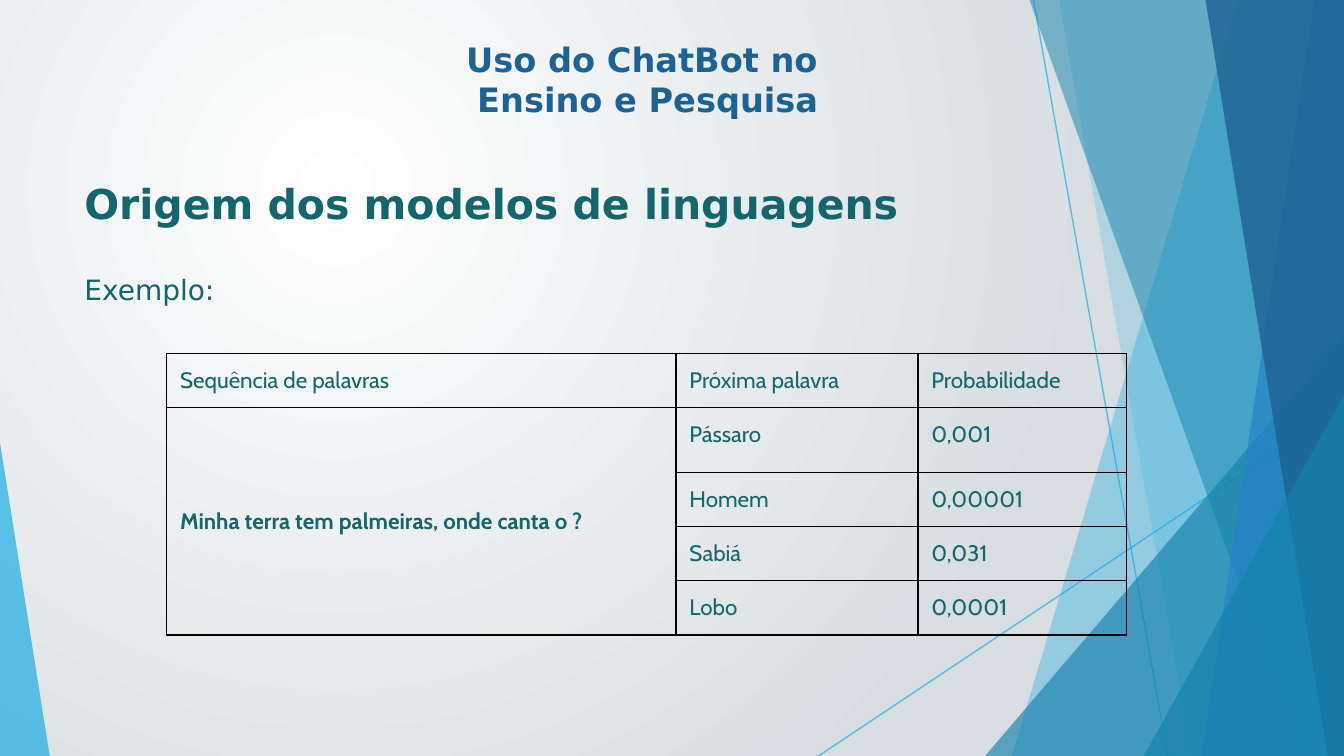
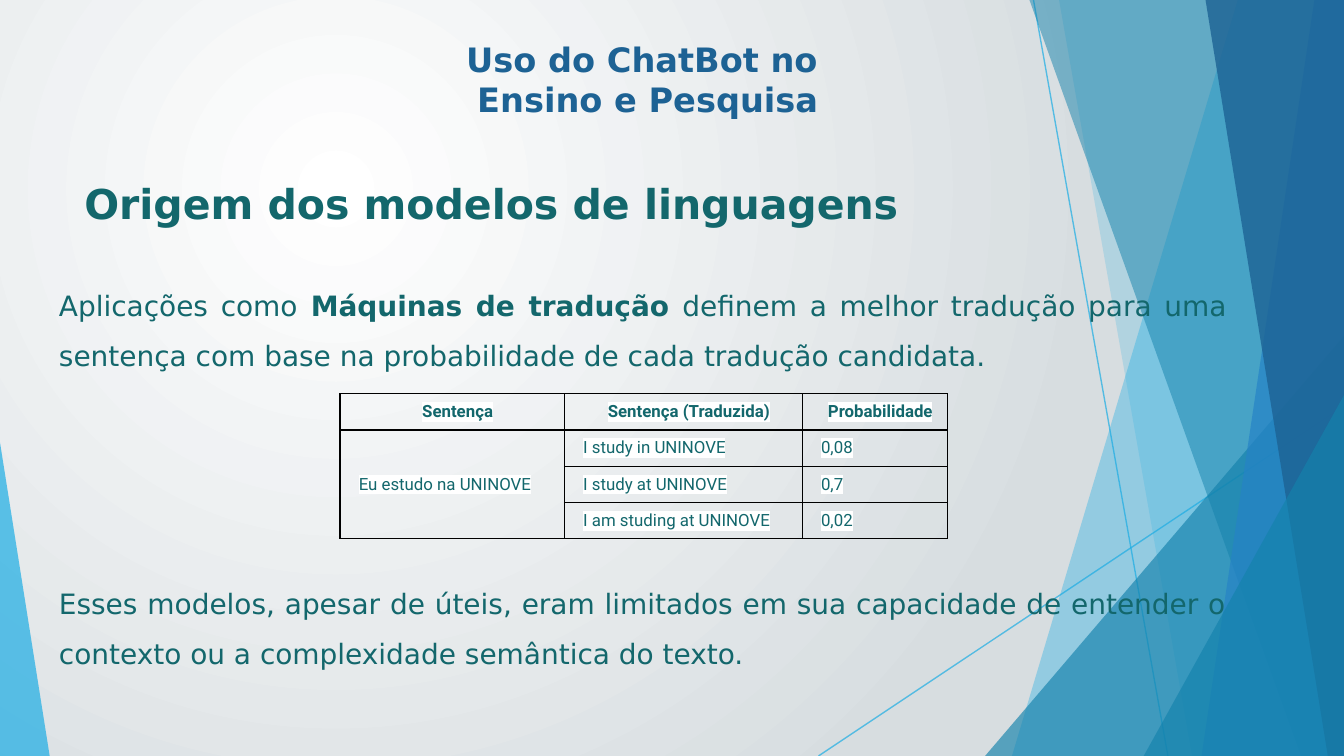
from dataclasses import dataclass
from typing import NamedTuple

import lxml.etree
import pptx
import pptx.dml.color
import pptx.enum.shapes
import pptx.enum.text
import pptx.oxml.ns
import pptx.util

Inches = pptx.util.Inches
Pt = pptx.util.Pt
RGBColor = pptx.dml.color.RGBColor
Align = pptx.enum.text.PP_ALIGN
Anchor = pptx.enum.text.MSO_ANCHOR
qn = pptx.oxml.ns.qn

WIDTH = 10
HEIGHT = WIDTH * 9 / 16

SKY = RGBColor(0x1C, 0xAD, 0xE4)
OCEAN = RGBColor(0x14, 0x82, 0xAC)
BLUE = RGBColor(0x26, 0x83, 0xC6)
NAVY = RGBColor(0x1D, 0x62, 0x94)
TEAL = RGBColor(0x13, 0x67, 0x6C)
WHITE = RGBColor(0xFF, 0xFF, 0xFF)
MIST = RGBColor(0xD7, 0xDD, 0xE0)
BLACK = RGBColor(0, 0, 0)

HEADING_FONT = "DejaVu Sans"


class Ray(NamedTuple):
    start: tuple[float, float]
    end: tuple[float, float]


class Band(NamedTuple):
    """Facet that runs from the top edge to the bottom edge, up to the right side."""
    top_left: float
    bottom_left: float
    color: RGBColor
    opacity: int


class Corner(NamedTuple):
    """Right triangle standing on the bottom edge; apex 0 is left, 1 is right."""
    left: float
    top: float
    width: float
    apex: int
    color: RGBColor
    opacity: int


class Span(NamedTuple):
    text: str
    bold: bool = False


@dataclass(frozen=True)
class TextBlock:
    left: float
    top: float
    width: float
    height: float
    paragraphs: tuple[tuple[Span, ...], ...]
    size: float
    color: RGBColor = TEAL
    align: Align = Align.LEFT
    line_spacing: float | None = None
    space_after: float | None = None


@dataclass(frozen=True)
class ProbabilityTable:
    """The first cell below the header spans all the remaining rows."""
    left: float
    top: float
    columns: tuple[float, ...]
    row_heights: tuple[float, ...]
    header: tuple[str, str, str]
    sentence: str
    candidates: tuple[tuple[str, str], ...]
    font: str
    size: float
    margin: float
    indent: float = 0
    header_bold: bool = False
    header_align: Align = Align.LEFT
    sentence_bold: bool = False
    anchor: Anchor = Anchor.TOP
    highlight: RGBColor | None = None


RAYS = (Ray((7.69, 0), (8.69, HEIGHT)), Ray((WIDTH, 3.02), (6.09, HEIGHT)))

FACETS = (
    Band(9.21, 7.53, SKY, 36),
    Band(7.88, 8.87, SKY, 20),
    Corner(7.33, 2.5, 2.67, 1, OCEAN, 66),
    Band(7.66, 9.68, OCEAN, 50),
    Band(9.78, 8.94, BLUE, 70),
    Band(8.97, 9.88, NAVY, 80),
    Corner(8.51, 2.94, 1.49, 1, OCEAN, 66),
    Corner(0, 3.29, 0.37, 0, SKY, 70),
)

COURSE_TITLE = TextBlock(
    2.57, 0.19, 4.5, 0.81,
    ((Span("Uso do ChatBot no ", True),), (Span("Ensino e Pesquisa", True),)),
    18, NAVY, Align.CENTER,
)
TOPIC = TextBlock(
    0.53, 1.23, 9.54, 0.57,
    ((Span("Origem dos modelos de linguagens", True),),), 22,
)

NEXT_WORD = ProbabilityTable(
    1.24, 2.63, (3.79, 1.8, 1.55), (0.4, 0.48, 0.4, 0.4, 0.4),
    ("Sequência de palavras", "Próxima palavra", "Probabilidade"),
    "Minha terra tem palmeiras, onde canta o ?",
    (("Pássaro", "0,001"), ("Homem", "0,00001"), ("Sabiá", "0,031"), ("Lobo", "0,0001")),
    "Cabin", 12, 0.1, sentence_bold=True,
)
TRANSLATION = ProbabilityTable(
    2.53, 2.93, (1.67, 1.77, 1.08), (0.27,) * 4,
    ("Sentença", "Sentença (Traduzida)", "Probabilidade"),
    "Eu estudo na UNINOVE",
    (("I study in UNINOVE", "0,08"), ("I study at UNINOVE", "0,7"),
     ("I am studing at UNINOVE", "0,02")),
    "Roboto", 9, 0.06, indent=0.08, header_bold=True, header_align=Align.CENTER,
    anchor=Anchor.MIDDLE, highlight=WHITE,
)


def body_text(left: float, top: float, height: float, *spans: Span) -> TextBlock:
    return TextBlock(left, top, 8.89, height, (spans,), 15,
                     align=Align.JUSTIFY, line_spacing=1.5, space_after=18)


SLIDES = (
    (NEXT_WORD, (body_text(0.53, 1.8, 0.83, Span("Exemplo:")),)),
    (TRANSLATION, (
        body_text(0.34, 1.92, 1.21, Span("Aplicações como "),
                  Span("Máquinas de tradução", True),
                  Span(" definem a melhor tradução para uma sentença com base na "
                       "probabilidade de cada tradução candidata.")),
        body_text(0.34, 4.14, 1.21,
                  Span("Esses modelos, apesar de úteis, eram limitados em sua capacidade "
                       "de entender o contexto ou a complexidade semântica do texto.")),
    )),
)


def set_opacity(element, percent: int) -> None:
    for color in element.iter(qn("a:srgbClr")):
        lxml.etree.SubElement(color, qn("a:alpha"), val=str(percent * 1000))


def paint_background(master) -> None:
    """Radial gradient whose bright centre lies in the upper left quarter."""
    fill = master.background.fill
    fill.gradient()
    for stop, position, color in zip(fill.gradient_stops, (0, 1), (WHITE, MIST)):
        stop.position = position
        stop.color.rgb = color
    linear = next(master._element.cSld.iter(qn("a:lin")))
    radial = lxml.etree.Element(qn("a:path"), path="circle")
    lxml.etree.SubElement(radial, qn("a:fillToRect"),
                          l="50000", t="50000", r="100000", b="100000")
    linear.getparent().replace(linear, radial)


def draw_ray(slide, ray: Ray) -> None:
    connector = slide.shapes.add_connector(
        pptx.enum.shapes.MSO_CONNECTOR.STRAIGHT,
        *(Inches(value) for value in ray.start + ray.end))
    connector.line.color.rgb = SKY
    connector.line.width = Pt(0.75)
    properties = connector._element.spPr
    set_opacity(properties, 70)
    lxml.etree.SubElement(properties, qn("a:effectLst"))


def draw_facet(slide, facet: Band | Corner) -> None:
    if isinstance(facet, Band):
        outline = slide.shapes.build_freeform(Inches(facet.top_left), 0)
        outline.add_line_segments([
            (Inches(WIDTH), 0),
            (Inches(WIDTH), Inches(HEIGHT)),
            (Inches(facet.bottom_left), Inches(HEIGHT)),
        ], close=True)
        shape = outline.convert_to_shape()
    else:
        shape = slide.shapes.add_shape(
            pptx.enum.shapes.MSO_SHAPE.ISOSCELES_TRIANGLE, Inches(facet.left),
            Inches(facet.top), Inches(facet.width), Inches(HEIGHT - facet.top))
        shape.adjustments[0] = facet.apex
    shape.shadow.inherit = False
    shape.fill.solid()
    shape.fill.fore_color.rgb = facet.color
    shape.line.fill.background()
    set_opacity(shape._element.spPr, facet.opacity)


def format_run(run, font: str, size: float, color: RGBColor, bold: bool) -> None:
    run.font.name = font
    run.font.size = Pt(size)
    run.font.color.rgb = color
    run.font.bold = bold


def draw_text(slide, block: TextBlock) -> None:
    box = slide.shapes.add_textbox(Inches(block.left), Inches(block.top),
                                   Inches(block.width), Inches(block.height))
    frame = box.text_frame
    frame.word_wrap = True
    frame.auto_size = pptx.enum.text.MSO_AUTO_SIZE.SHAPE_TO_FIT_TEXT
    frame.margin_left = frame.margin_right = Inches(0.1)
    frame.margin_top = frame.margin_bottom = Inches(0.1)
    for index, spans in enumerate(block.paragraphs):
        paragraph = frame.add_paragraph() if index else frame.paragraphs[0]
        paragraph.alignment = block.align
        if block.line_spacing:
            paragraph.line_spacing = block.line_spacing
        if block.space_after:
            paragraph.space_after = Pt(block.space_after)
        for span in spans:
            run = paragraph.add_run()
            run.text = span.text
            format_run(run, HEADING_FONT, block.size, block.color, span.bold)


def style_cell(cell, table: ProbabilityTable) -> None:
    """Set margins, a see-through fill and a thin black border on every side."""
    cell.margin_left = cell.margin_right = Inches(table.margin)
    cell.margin_top = cell.margin_bottom = Inches(table.margin)
    cell.vertical_anchor = table.anchor
    properties = cell._tc.get_or_add_tcPr()
    if table.highlight is None:
        cell.fill.background()
    else:
        cell.fill.solid()
        cell.fill.fore_color.rgb = table.highlight
        set_opacity(properties, 0)
    for index, side in enumerate(("a:lnL", "a:lnR", "a:lnT", "a:lnB")):
        border = lxml.etree.Element(qn(side), w=str(Pt(0.75)))
        ink = lxml.etree.SubElement(border, qn("a:solidFill"))
        lxml.etree.SubElement(ink, qn("a:srgbClr"), val=str(BLACK))
        properties.insert(index, border)


def write_cell(cell, text: str, table: ProbabilityTable, bold: bool, align: Align) -> None:
    paragraph = cell.text_frame.paragraphs[0]
    paragraph.text = text
    paragraph.alignment = align
    if table.indent:
        indents = paragraph._p.get_or_add_pPr()
        indents.set("marL", str(Inches(table.indent)))
        indents.set("indent", "0")
    run = paragraph.runs[0]
    format_run(run, table.font, table.size, TEAL, bold)
    if table.highlight is not None:
        highlight = lxml.etree.Element(qn("a:highlight"))
        lxml.etree.SubElement(highlight, qn("a:srgbClr"), val=str(table.highlight))
        run._r.get_or_add_rPr().find(qn("a:solidFill")).addnext(highlight)


def draw_table(slide, table: ProbabilityTable) -> None:
    rows, columns = len(table.row_heights), len(table.columns)
    grid = slide.shapes.add_table(
        rows, columns, Inches(table.left), Inches(table.top),
        Inches(sum(table.columns)), Inches(sum(table.row_heights))).table
    grid.first_row = grid.horz_banding = False
    for column, width in zip(grid.columns, table.columns):
        column.width = Inches(width)
    for row, height in zip(grid.rows, table.row_heights):
        row.height = Inches(height)
    for cell in grid.iter_cells():
        style_cell(cell, table)
    sentence = grid.cell(1, 0)
    sentence.merge(grid.cell(rows - 1, 0))
    sentence.vertical_anchor = Anchor.MIDDLE

    for index, label in enumerate(table.header):
        write_cell(grid.cell(0, index), label, table, table.header_bold, table.header_align)
    write_cell(sentence, table.sentence, table, table.sentence_bold, Align.LEFT)
    for row_index, candidate in enumerate(table.candidates, 1):
        for column_index, text in enumerate(candidate, 1):
            write_cell(grid.cell(row_index, column_index), text, table, False, Align.LEFT)


def main() -> None:
    deck = pptx.Presentation()
    deck.slide_width, deck.slide_height = Inches(WIDTH), Inches(HEIGHT)
    paint_background(deck.slide_master)
    for table, body in SLIDES:
        slide = deck.slides.add_slide(deck.slide_layouts[6])
        for ray in RAYS:
            draw_ray(slide, ray)
        for facet in FACETS:
            draw_facet(slide, facet)
        draw_table(slide, table)
        for block in (TOPIC, *body, COURSE_TITLE):
            draw_text(slide, block)
    deck.save("out.pptx")


if __name__ == "__main__":
    main()
